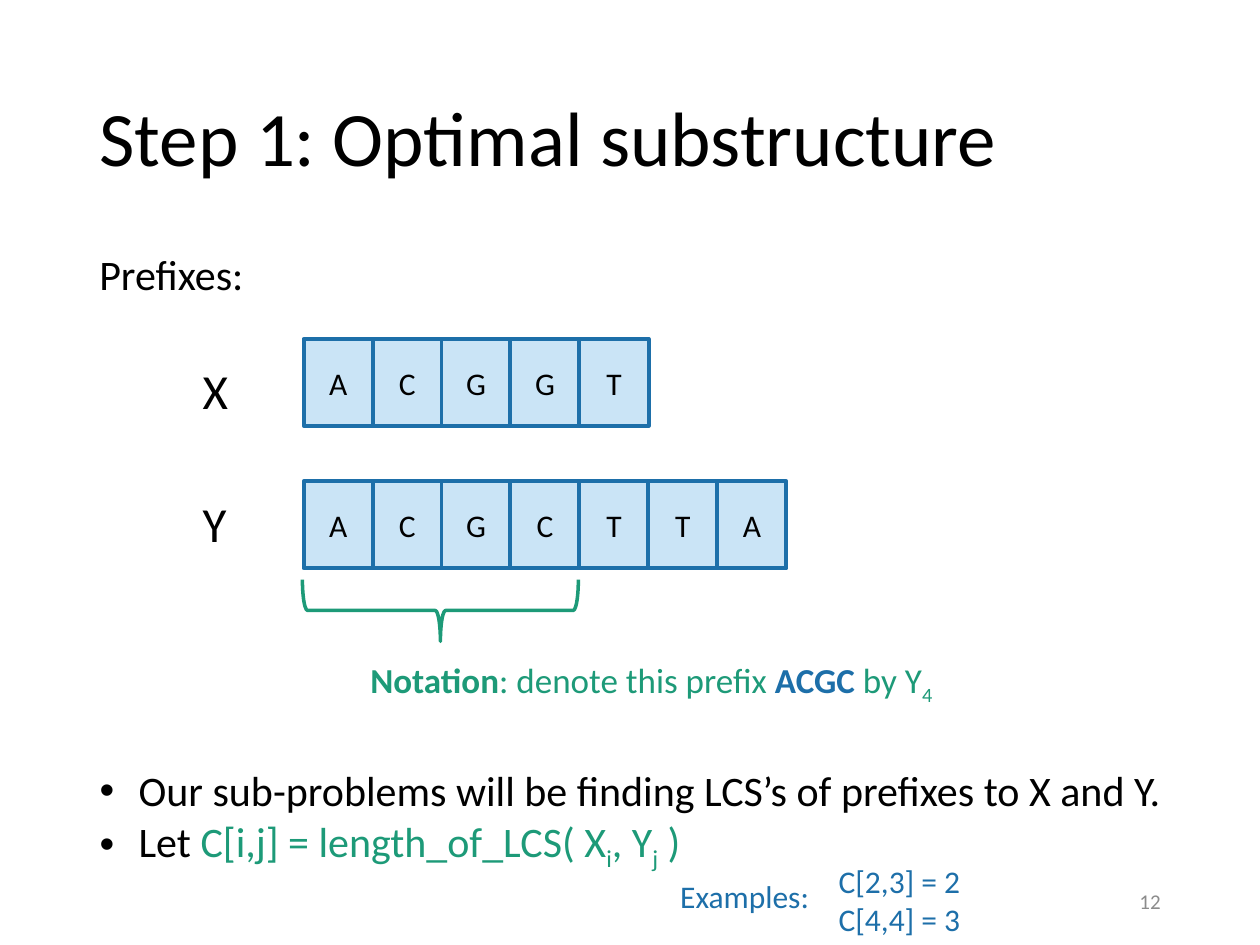
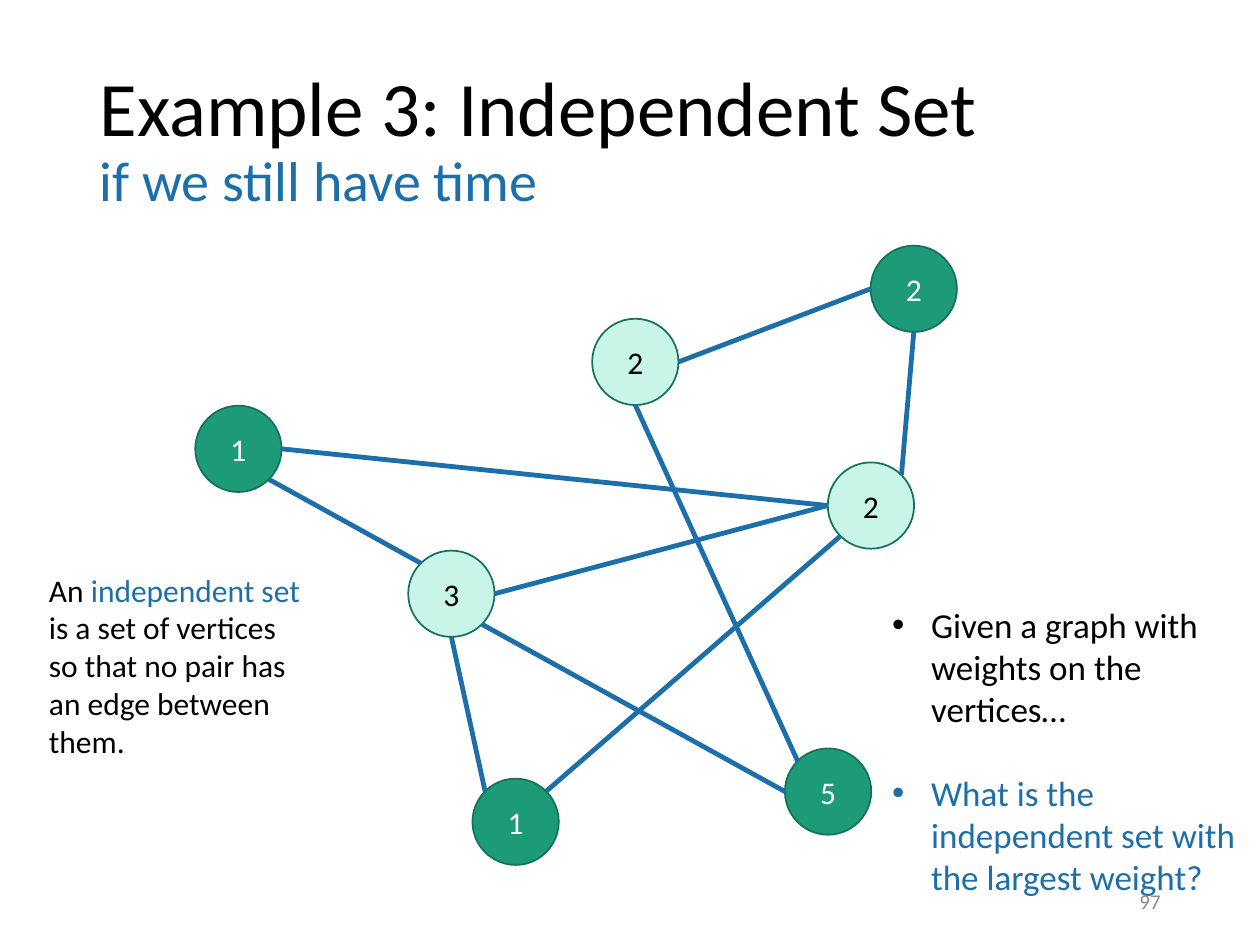
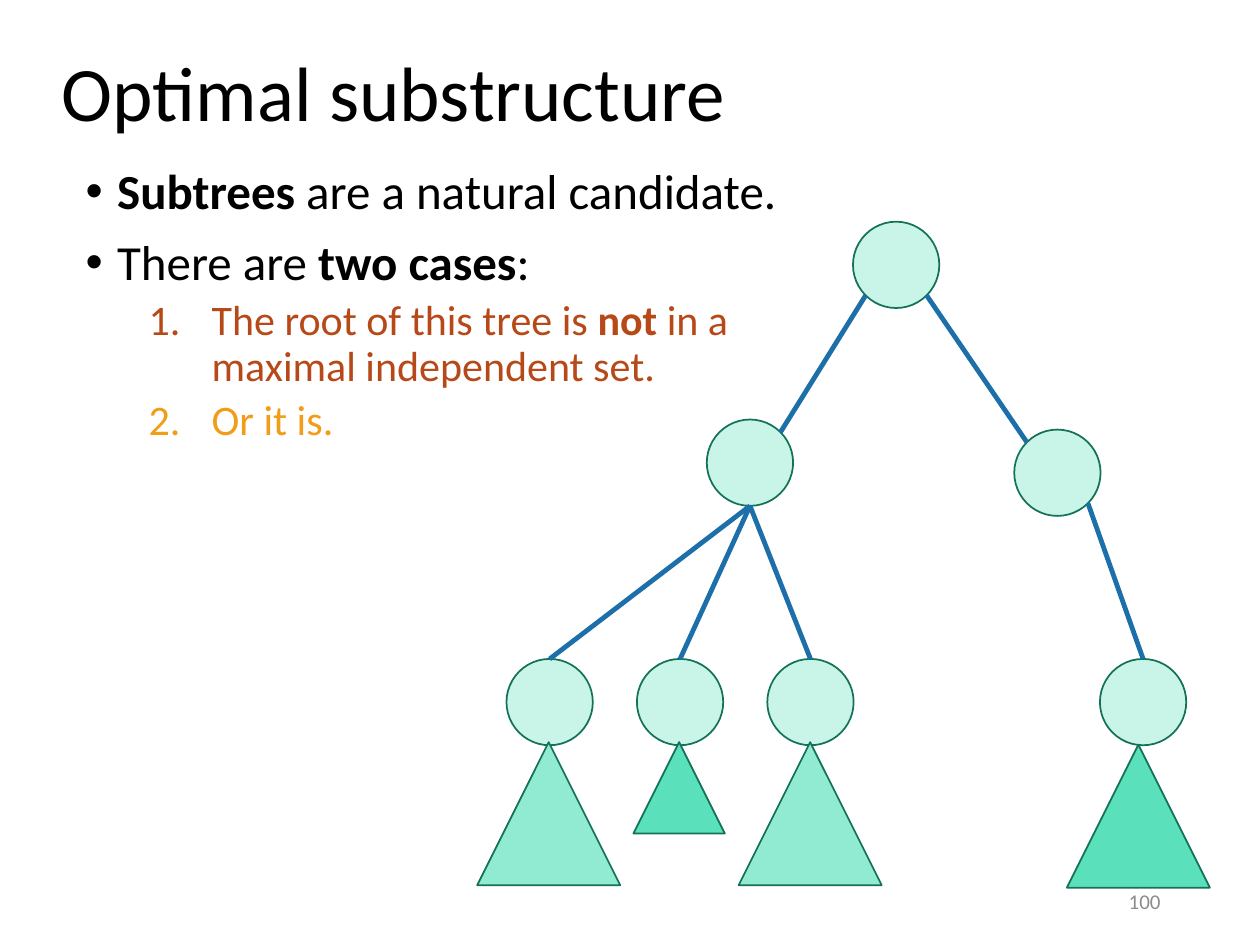
from math import cos, radians, sin

from lxml.etree import SubElement
from pptx import Presentation
from pptx.dml.color import RGBColor
from pptx.enum.shapes import MSO_CONNECTOR, MSO_SHAPE
from pptx.enum.text import MSO_ANCHOR, MSO_AUTO_SIZE, PP_ALIGN
from pptx.oxml.ns import qn
from pptx.util import Inches, Pt

UNIT = Inches(0.1)
FONT = "Calibri"
BLACK = RGBColor(0x00, 0x00, 0x00)
WHITE = RGBColor(0xFF, 0xFF, 0xFF)
GREY = RGBColor(0x8C, 0x8C, 0x8C)
BLUE = RGBColor(0x1D, 0x6F, 0xA9)
SKY = RGBColor(0xCA, 0xE4, 0xF6)
GREEN = RGBColor(0x1D, 0x9A, 0x78)
PINE = RGBColor(0x15, 0x72, 0x59)
MINT = RGBColor(0xC8, 0xF5, 0xE8)
JADE = RGBColor(0x5A, 0xE0, 0xBB)
AQUA = RGBColor(0x91, 0xEA, 0xD2)
RUST = RGBColor(0xB7, 0x49, 0x19)
AMBER = RGBColor(0xF1, 0x9D, 0x19)

NODE = 6.85
HEAD = (6.9, 4, 86.2, 14.5)
LEFT, RIGHT, MID = PP_ALIGN.LEFT, PP_ALIGN.RIGHT, PP_ALIGN.CENTER
BOLD = {"bold": True}


def grid(*cells):
    return [int(UNIT * cell) for cell in cells]


def assign(item, values):
    for name, value in values.items():
        setattr(item, name, value)


def place(shape, box):
    assign(shape, dict(zip(("left", "top", "width", "height"), grid(*box))))


def add_run(para, text, size, color, bold=False, sub=False):
    run = para.add_run()
    run.text = text
    assign(run.font, {"name": FONT, "size": Pt(size), "bold": bold})
    run.font.color.rgb = color
    if sub:
        run.font._element.set("baseline", "-25000")


def write(para, runs, size, color=BLACK, **values):
    assign(para, values)
    for text, look in runs:
        add_run(para, text, **({"size": size, "color": color} | look))


def mark(para, inset, hang, number=False):
    props = para._p.get_or_add_pPr()
    props.set("marL", str(Inches(inset)))
    props.set("indent", str(-Inches(hang)))
    SubElement(props, qn("a:buFont"), typeface="+mj-lt" if number else "Arial")
    if number:
        SubElement(props, qn("a:buAutoNum"), type="arabicPeriod")
    else:
        SubElement(props, qn("a:buChar"), char="•")


def add_text(slide, box, lines, size, color=BLACK, align=LEFT, anchor=MSO_ANCHOR.TOP):
    frame = slide.shapes.add_textbox(*grid(*box)).text_frame
    assign(frame, {"word_wrap": True, "vertical_anchor": anchor})
    for index, runs in enumerate(lines):
        para = frame.add_paragraph() if index else frame.paragraphs[0]
        write(para, runs, size, color, alignment=align)


def add_list(slide, box, items):
    body = slide.placeholders[1]
    place(body, box)
    frame = body.text_frame
    assign(frame, {"auto_size": MSO_AUTO_SIZE.NONE, "word_wrap": True})
    for index, (runs, bullet, look) in enumerate(items):
        para = frame.add_paragraph() if index else frame.paragraphs[0]
        mark(para, *bullet)
        write(para, runs, **({"space_before": Pt(0)} | look))


def add_slide(deck, title, number, box=HEAD, note=None):
    slide = deck.slides.add_slide(deck.slide_layouts[1])
    place(slide.shapes.title, box)
    frame = slide.shapes.title.text_frame
    assign(frame, {"vertical_anchor": MSO_ANCHOR.MIDDLE, "auto_size": MSO_AUTO_SIZE.NONE})
    para = frame.paragraphs[0]
    write(para, [(title, {})], 44, alignment=LEFT, line_spacing=0.9)
    if note:
        para.add_line_break()
        add_run(para, note, 32, BLUE)
    add_text(slide, (70.6, 69.5, 22.5, 4), [[(number, {})]], 12, GREY, RIGHT, MSO_ANCHOR.MIDDLE)
    return slide


def add_form(slide, kind, box, fill, edge, width, label="", color=BLACK):
    shape = slide.shapes.add_shape(kind, *grid(*box))
    shape.shadow.inherit = False
    if fill is None:
        shape.fill.background()
    else:
        shape.fill.solid()
        shape.fill.fore_color.rgb = fill
    shape.line.color.rgb = edge
    shape.line.width = Pt(width)
    if label:
        write(shape.text_frame.paragraphs[0], [(label, {})], 18, color, alignment=MID)
    return shape


def add_row(slide, name, letters, top, base):
    add_text(slide, (15.1, base, 5.9, 5.7), [[(name, {})]], 28)
    for index, letter in enumerate(letters):
        box = (24.1 + 5.47 * index, top, 5.5, 6.9)
        add_form(slide, MSO_SHAPE.RECTANGLE, box, SKY, BLUE, 2.25, letter)


def add_node(slide, left, top, label="", fill=MINT):
    color = WHITE if fill == GREEN else BLACK
    return add_form(slide, MSO_SHAPE.OVAL, (left, top, NODE, NODE), fill, PINE, 1, label, color)


def find_site(node, site):
    angle, reach = radians(90 + 45 * site), node.width / 2
    return (int(node.left + reach * (1 + cos(angle))),
            int(node.top + reach * (1 - sin(angle))))


def add_edge(slide, first, start, last, end):
    line = slide.shapes.add_connector(
        MSO_CONNECTOR.STRAIGHT, *find_site(first, start), *find_site(last, end))
    line.line.color.rgb = BLUE
    line.line.width = Pt(2.75)
    SubElement(line._element.spPr, qn("a:effectLst"))
    joint = line._element.nvCxnSpPr.cNvCxnSpPr
    for tag, node, site in (("a:stCxn", first, start), ("a:endCxn", last, end)):
        SubElement(joint, qn(tag), id=str(node.shape_id), idx=str(site))


def add_graph(slide, nodes, edges):
    made = {name: add_node(slide, *node) for name, node in nodes.items()}
    for first, start, last, end in edges:
        add_edge(slide, made[first], start, made[last], end)


def show_prefix(deck):
    slide = add_slide(deck, "Step 1: Optimal substructure", "12")
    add_text(slide, (6.9, 19.2, 31.3, 5), [[("Prefixes:", {})]], 24)
    add_row(slide, "X", "ACGGT", 26.9, 28.1)
    add_row(slide, "Y", "ACGCTTA", 38.2, 38.7)
    brace = add_form(slide, MSO_SHAPE.RIGHT_BRACE, (32.5, 37.5, 4.9, 21.9), None, GREEN, 2)
    brace.rotation = 90
    note = [("Notation", BOLD), (": denote this prefix", {}),
            (" ACGC ", {"color": BLUE, "bold": True}), ("by Y", {}), ("4", {"sub": True})]
    add_text(slide, (28.4, 51.8, 47.8, 4.4), [note], 20, GREEN)
    green = {"color": GREEN}
    sub = green | {"sub": True}
    bullet, look = (0.31, 0.31), {"size": 24}
    add_list(slide, (6.9, 60.2, 93.1, 9.1), [
        ([("Our sub-problems will be finding LCS’s of prefixes to X and Y.", {})], bullet, look),
        ([("Let ", {}), ("C[i,j] = length_of_LCS( X", green), ("i", sub),
          (", Y", green), ("j", sub), (" )", green)], bullet, look),
    ])
    cases = [[("C[2,3] = 2", {})], [("C[4,4] = 3", {})]]
    add_text(slide, (59.7, 67.9, 17.5, 7.1), cases, 18, BLUE, RIGHT)
    add_text(slide, (52.2, 69.1, 13, 4), [[("Examples:", {})]], 18, BLUE, RIGHT)


def show_set(deck):
    slide = add_slide(deck, "Example 3: Independent Set", "97", note="if we still have time")
    nodes = {
        "east": (65.7, 36.7, "2"),
        "north": (47, 25.3, "2"),
        "hub": (32.4, 43.7, "3"),
        "five": (62.3, 59.4, "5", GREEN),
        "west": (15.5, 32.2, "1", GREEN),
        "top": (69.1, 19.5, "2", GREEN),
        "south": (37.5, 61.8, "1", GREEN),
    }
    add_graph(slide, nodes, [
        ("top", 4, "east", 7), ("top", 2, "north", 6), ("five", 1, "north", 4),
        ("east", 2, "west", 6), ("hub", 1, "west", 5), ("hub", 5, "five", 2),
        ("south", 7, "east", 3), ("south", 1, "hub", 4), ("hub", 6, "east", 2),
    ])
    bullet = (0.31, 0.31)
    add_list(slide, (69.8, 47.4, 30.2, 24.6), [
        ([("Given a graph with weights on the vertices…", {})], bullet, {"size": 20}),
        ([("What is the independent set with the largest weight?", {})], bullet,
         {"size": 20, "color": BLUE, "space_before": Pt(24)}),
    ])
    text = [("An ", {}), ("independent set ", {"color": BLUE}),
            ("is a set of vertices so that no pair has an edge between them.", {})]
    add_text(slide, (2.9, 44.8, 22.7, 16.2), [text], 18)


def show_tree(deck):
    slide = add_slide(deck, "Optimal substructure", "100", (3.9, 3.7, 86.2, 7.9))
    point, step = (0.25, 0.25), (1, 0.5, True)
    main_look = {"size": 28, "line_spacing": 0.9}
    case = {"size": 24, "line_spacing": 0.9, "space_before": Pt(5), "level": 1}
    add_list(slide, (5.8, 12.8, 57.1, 27.2), [
        ([("Subtrees", BOLD), (" are a natural candidate.", {})], point, main_look),
        ([("There are ", {}), ("two cases", BOLD), (":", {})], point,
         main_look | {"space_before": Pt(10)}),
        ([("The root of this tree is ", {}), ("not", BOLD),
          (" in a maximal independent set.", {})], step, case | {"color": RUST}),
        ([("Or it is.", {})], step, case | {"color": AMBER}),
    ])
    nodes = {"root": (67.7, 17.6), "right": (80.5, 34.1), "left": (56.1, 33.3),
             "far": (87.3, 52.3)}
    leaves = range(3)
    nodes |= {leaf: (40.2 + 10.35 * leaf, 52.3) for leaf in leaves}
    edges = [("right", 1, "root", 5), ("left", 7, "root", 3), ("right", 5, "far", 0)]
    edges += [(leaf, 0, "left", 4) for leaf in leaves]
    add_graph(slide, nodes, edges)
    for apex, top, size, fill in ((90.35, 59.1, 11.35, JADE), (64.3, 58.9, 11.35, AQUA),
                                  (53.9, 58.9, 7.25, JADE), (43.55, 58.9, 11.35, AQUA)):
        box = (apex - size / 2, top, size, size)
        add_form(slide, MSO_SHAPE.ISOSCELES_TRIANGLE, box, fill, PINE, 1)


def main():
    deck = Presentation()
    deck.slide_width, deck.slide_height = grid(100, 75)
    show_prefix(deck)
    show_set(deck)
    show_tree(deck)
    deck.save("out.pptx")


if __name__ == "__main__":
    main()
